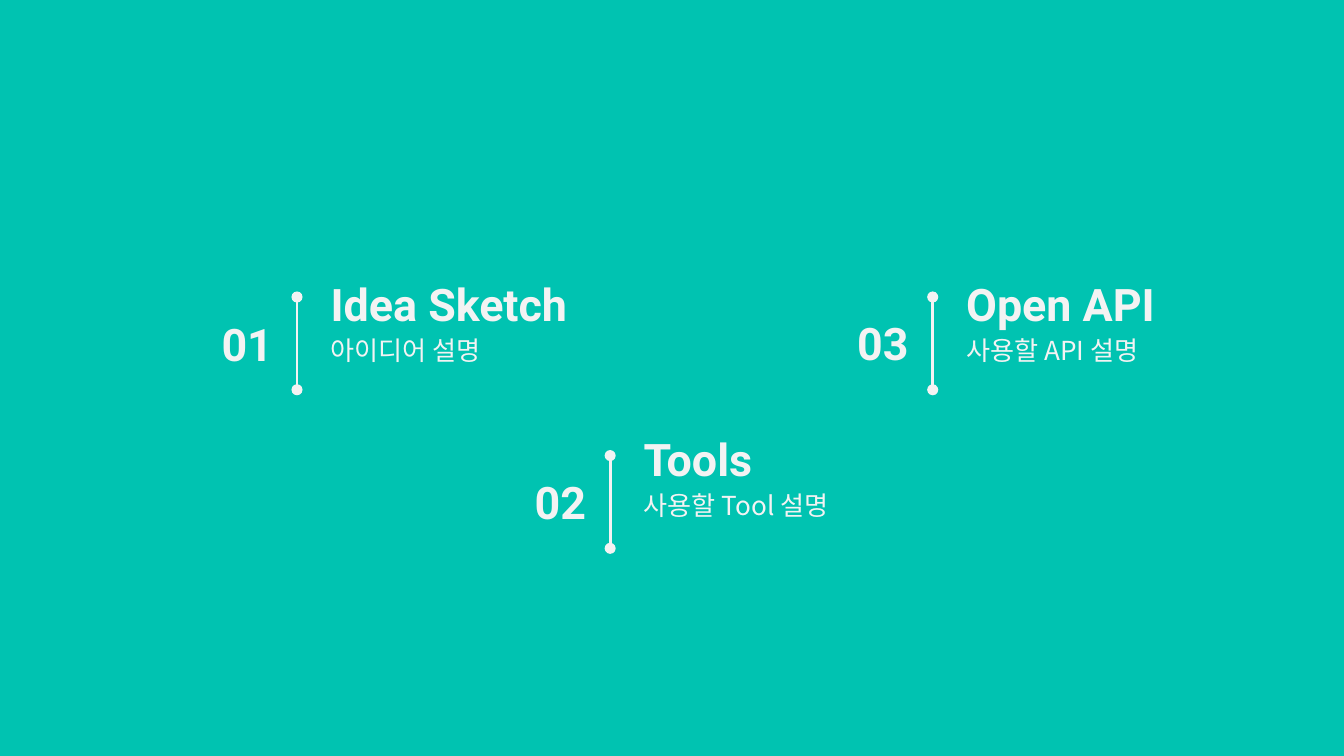
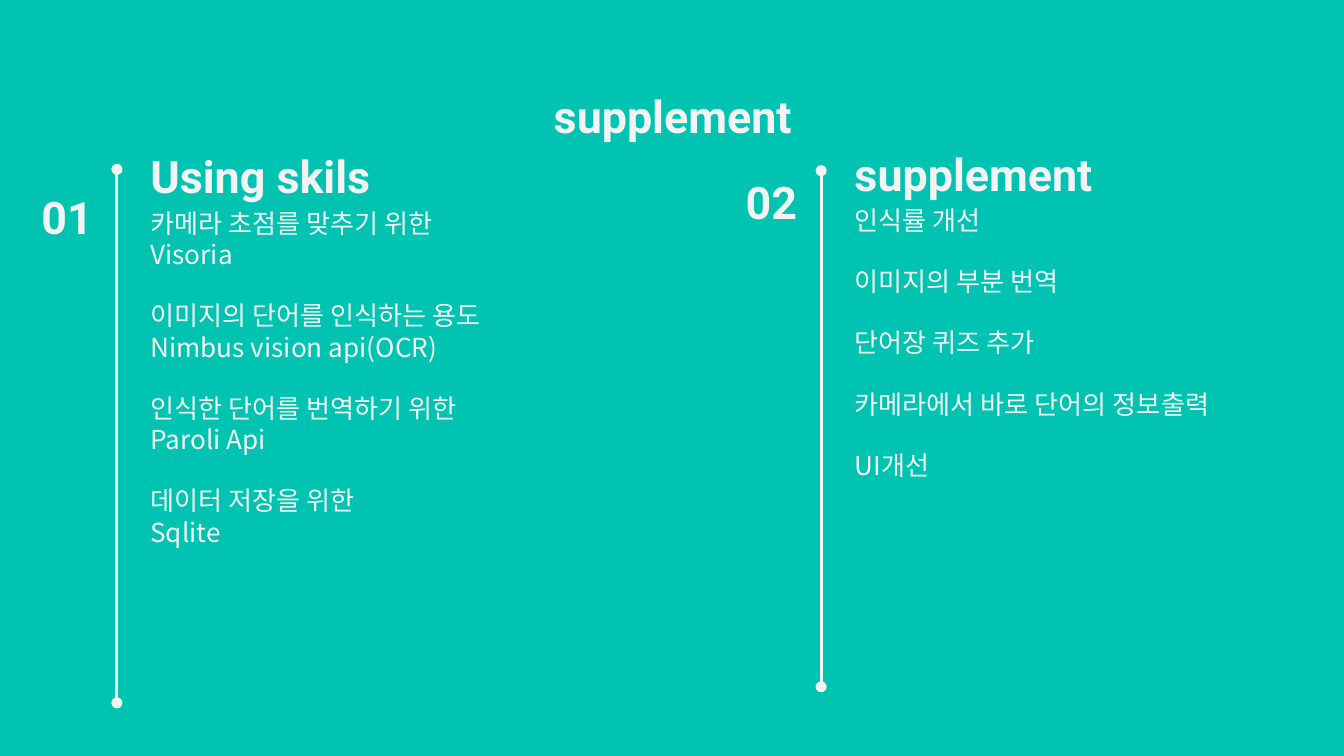
from lxml.etree import SubElement
from pptx import Presentation
from pptx.dml.color import RGBColor
from pptx.enum.shapes import MSO_CONNECTOR
from pptx.enum.text import MSO_ANCHOR, MSO_AUTO_SIZE, PP_ALIGN
from pptx.oxml.ns import qn
from pptx.util import Inches, Pt

TEAL = "00C3B1"
PALE = "F3F3F3"
HEADING_FONT = "Roboto"
BODY_FONT = "Noto Sans CJK KR"


def color(hex_code):
    """Turn a hex string into a colour."""
    return RGBColor.from_string(hex_code)


def add_page(deck):
    """Add a title-only page with the teal background."""
    page = deck.slides.add_slide(deck.slide_layouts[5])
    page.background.fill.solid()
    page.background.fill.fore_color.rgb = color(TEAL)
    return page


def add_box(page, left, top, width, height):
    """Add an empty text box."""
    return page.shapes.add_textbox(Inches(left), Inches(top), Inches(width), Inches(height))


def write(box, lines, size, font_name, bold=False, align=PP_ALIGN.LEFT,
          anchor=MSO_ANCHOR.TOP, space_after=0):
    """Fill a box with one paragraph for each line."""
    frame = box.text_frame
    frame.word_wrap = True
    frame.auto_size = MSO_AUTO_SIZE.NONE
    frame.vertical_anchor = anchor
    frame.margin_left = frame.margin_right = Inches(0.1)
    frame.margin_top = frame.margin_bottom = Inches(0.1)
    frame.text = "\n".join(lines)
    for para in frame.paragraphs:
        para.alignment = align
        para.space_after = Pt(space_after)
        font = para.font
        font.size = Pt(size)
        font.bold = bold
        font.color.rgb = color(PALE)
        font.name = font_name
        defaults = para._p.pPr.find(qn("a:defRPr"))
        SubElement(defaults, qn("a:ea"), typeface=font_name)


def write_heading(box, text, align=PP_ALIGN.LEFT, anchor=MSO_ANCHOR.MIDDLE):
    """Write bold heading text in a box."""
    write(box, [text], 24, HEADING_FONT, bold=True, align=align, anchor=anchor)


def place_title(page, left, top, width, height):
    """Move the title placeholder and return it."""
    title = page.shapes.title
    title.left, title.top = Inches(left), Inches(top)
    title.width, title.height = Inches(width), Inches(height)
    return title


def add_rule(page, x, top, bottom):
    """Draw a vertical line with a dot at each end."""
    rule = page.shapes.add_connector(
        MSO_CONNECTOR.STRAIGHT, Inches(x), Inches(top), Inches(x), Inches(bottom))
    rule.line.color.rgb = color(PALE)
    rule.line.width = Pt(1.5)
    outline = rule.line._get_or_add_ln()
    for end in ("a:headEnd", "a:tailEnd"):
        SubElement(outline, qn(end), type="oval")
    SubElement(rule._element.spPr, qn("a:effectLst"))


def add_section(page, number, heading, lines, x, rule_top, rule_bottom,
                heading_top, number_top, body_size, is_title=False):
    """Add a numbered section around the rule at x."""
    left = x + 0.15
    place = place_title if is_title else add_box
    write_heading(place(page, left, heading_top, 2.56, 0.46), heading)
    body = add_box(page, left, heading_top + 0.36, *body_size)
    write(body, lines, 14, BODY_FONT, space_after=16)
    number_box = add_box(page, x - 0.74, number_top, 0.66, 0.46)
    write_heading(number_box, number, align=PP_ALIGN.RIGHT)
    add_rule(page, x, rule_top, rule_bottom)


def build_contents(deck):
    """Build the page that lists the three topics."""
    page = add_page(deck)
    topics = [
        ("01", "Idea Sketch", "아이디어 설명", 2.21, 2.21, 2.03, 2.33),
        ("02", "Tools", "사용할 Tool 설명", 4.54, 3.39, 3.18, 3.5),
        ("03", "Open API", "사용할 API 설명", 6.94, 2.21, 2.03, 2.32),
    ]
    for number, heading, detail, x, rule_top, heading_top, number_top in topics:
        add_section(page, number, heading, [detail], x, rule_top, rule_top + 0.69,
                    heading_top, number_top, (2.56, 0.71), is_title=number == "01")


def build_supplement(deck):
    """Build the page on skills and improvements."""
    page = add_page(deck)
    title = place_title(page, 0.79, 0.56, 8.43, 0.63)
    write_heading(title, "supplement", align=PP_ALIGN.CENTER, anchor=MSO_ANCHOR.TOP)
    skills = [
        "카메라 초점를 맞추기 위한 Visoria",
        "이미지의 단어를 인식하는 용도 Nimbus vision api(OCR)",
        "인식한 단어를 번역하기 위한 Paroli Api",
        "데이터 저장을 위한\vSqlite",
    ]
    improvements = [
        "인식률 개선",
        "이미지의 부분 번역",
        "단어장 퀴즈 추가",
        "카메라에서 바로 단어의 정보출력",
        "UI개선",
    ]
    add_section(page, "01", "Using skils", skills, 0.87, 1.26, 5.23,
                1.08, 1.38, (2.79, 3.85))
    add_section(page, "02", "supplement", improvements, 6.11, 1.27, 5.11,
                1.06, 1.27, (3.14, 3.96))


def main():
    """Build and save the deck."""
    deck = Presentation()
    deck.slide_width = Inches(10)
    deck.slide_height = deck.slide_width * 9 // 16
    build_contents(deck)
    build_supplement(deck)
    deck.save("out.pptx")


if __name__ == "__main__":
    main()
